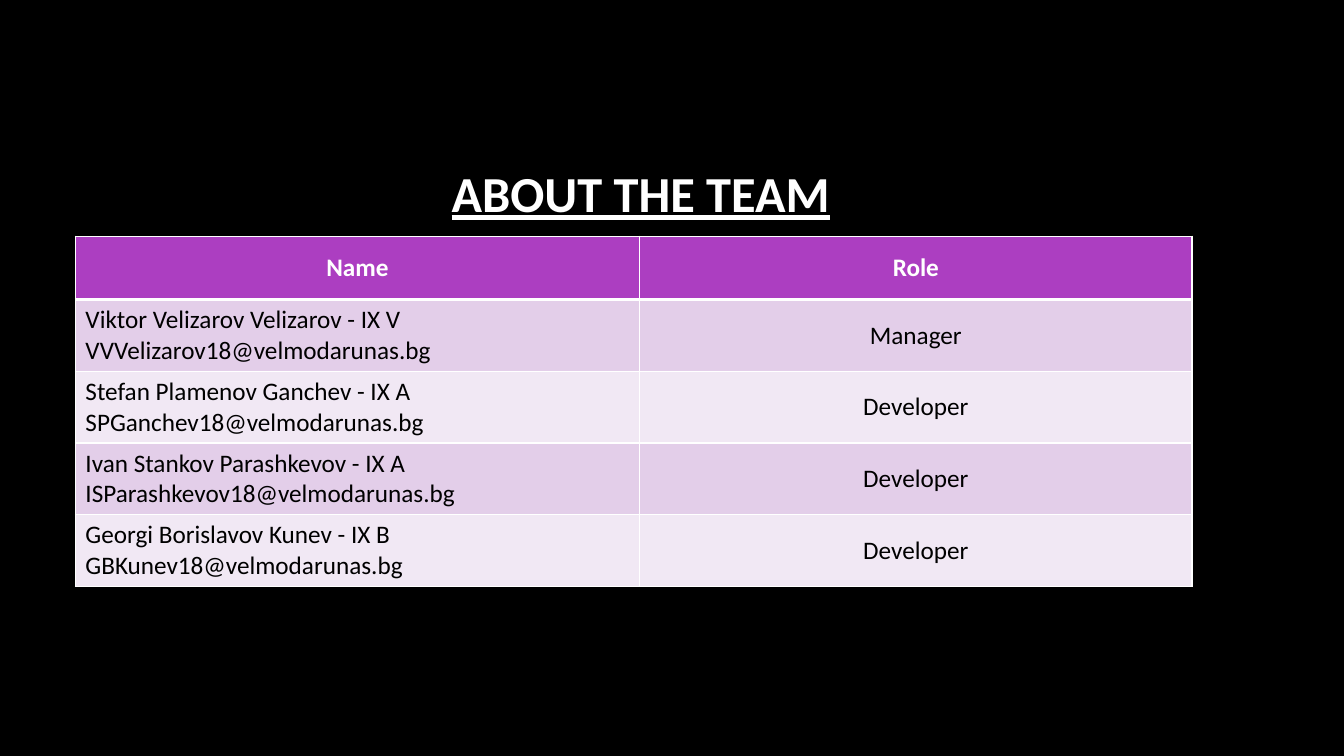
from lxml.etree import SubElement
from pptx import Presentation
from pptx.dml.color import RGBColor
from pptx.enum.text import MSO_ANCHOR, PP_ALIGN
from pptx.oxml.ns import qn
from pptx.util import Cm, Pt

COLORS = {
    "background": "000000",
    "light": "FFFFFF",
    "dark": "000000",
    "header": "AC3EC1",
    "odd": "E3CEE9",
    "even": "F1E8F4",
}
TITLE_FORMAT = {"name": "Calibri", "size": Pt(36), "bold": True, "underline": True}
HEADER_FORMAT = {"name": "Calibri", "size": Pt(18), "bold": True}
BODY_FORMAT = {"name": "Calibri", "size": Pt(18), "bold": False}
HEADINGS = ("Name", "Role")
TEAM = (
    ("Viktor Velizarov Velizarov - IX V", "VVVelizarov18", "Manager"),
    ("Stefan Plamenov Ganchev - IX A", "SPGanchev18", "Developer"),
    ("Ivan Stankov Parashkevov - IX A", "ISParashkevov18", "Developer"),
    ("Georgi Borislavov Kunev - IX B", "GBKunev18", "Developer"),
)
MAIL_DOMAIN = "velmodarunas.bg"


def color(name):
    """Return the named colour."""
    return RGBColor.from_string(COLORS[name])


def write_text(text_frame, lines, font_format, color_name, alignment):
    """Write each line as a formatted paragraph."""
    text_frame.text = "\n".join(lines)
    for paragraph in text_frame.paragraphs:
        paragraph.alignment = alignment
        for run in paragraph.runs:
            for attribute, value in font_format.items():
                setattr(run.font, attribute, value)
            run.font.color.rgb = color(color_name)


def add_borders(cell, widths):
    """Draw the cell's left, right, top and bottom borders."""
    properties = cell._tc.get_or_add_tcPr()
    for side, width in zip("LRTB", widths):
        line = SubElement(properties, qn(f"a:ln{side}"), w=str(Pt(width)))
        fill = SubElement(line, qn("a:solidFill"))
        SubElement(fill, qn("a:srgbClr"), val=COLORS["light"])


def add_title(slide, left, top, width, height):
    """Place the centred heading in its box."""
    text_frame = slide.shapes.add_textbox(left, top, width, height).text_frame
    text_frame.word_wrap = True
    text_frame.vertical_anchor = MSO_ANCHOR.MIDDLE
    write_text(text_frame, ["ABOUT THE TEAM"], TITLE_FORMAT, "light", PP_ALIGN.CENTER)


def add_team_table(slide, left, top, width, height):
    """Place the table of members and roles in its box."""
    rows = [([name, f"{user}@{MAIL_DOMAIN}"], [role]) for name, user, role in TEAM]
    rows.insert(0, [[heading] for heading in HEADINGS])
    table = slide.shapes.add_table(
        len(rows), len(HEADINGS), left, top, width, height
    ).table
    name_width = Cm(14.22)
    table.columns[0].width = name_width
    table.columns[1].width = width - name_width
    header_height = Cm(1.6)
    for row_index, row in enumerate(rows):
        is_header = row_index == 0
        table.rows[row_index].height = (
            header_height if is_header else (height - header_height) // len(TEAM)
        )
        fill_name = "header" if is_header else ("even", "odd")[row_index % 2]
        for column_index, lines in enumerate(row):
            cell = table.cell(row_index, column_index)
            cell.vertical_anchor = MSO_ANCHOR.MIDDLE
            add_borders(cell, (1, 1, 3 if row_index == 1 else 1, 3 if is_header else 1))
            cell.fill.solid()
            cell.fill.fore_color.rgb = color(fill_name)
            centred = is_header or column_index == 1
            write_text(
                cell.text_frame,
                lines,
                HEADER_FORMAT if is_header else BODY_FORMAT,
                "light" if is_header else "dark",
                PP_ALIGN.CENTER if centred else PP_ALIGN.LEFT,
            )


def main():
    """Build and save the team slide."""
    presentation = Presentation()
    presentation.slide_width = Cm(33.87)
    presentation.slide_height = Cm(19.05)
    slide = presentation.slides.add_slide(presentation.slide_layouts[6])
    slide.background.fill.solid()
    slide.background.fill.fore_color.rgb = color("background")
    add_title(slide, Cm(2.08), Cm(2.82), Cm(28.14), Cm(4.04))
    add_team_table(slide, Cm(1.9), Cm(5.95), Cm(28.14), Cm(8.83))
    presentation.save("out.pptx")


if __name__ == "__main__":
    main()
